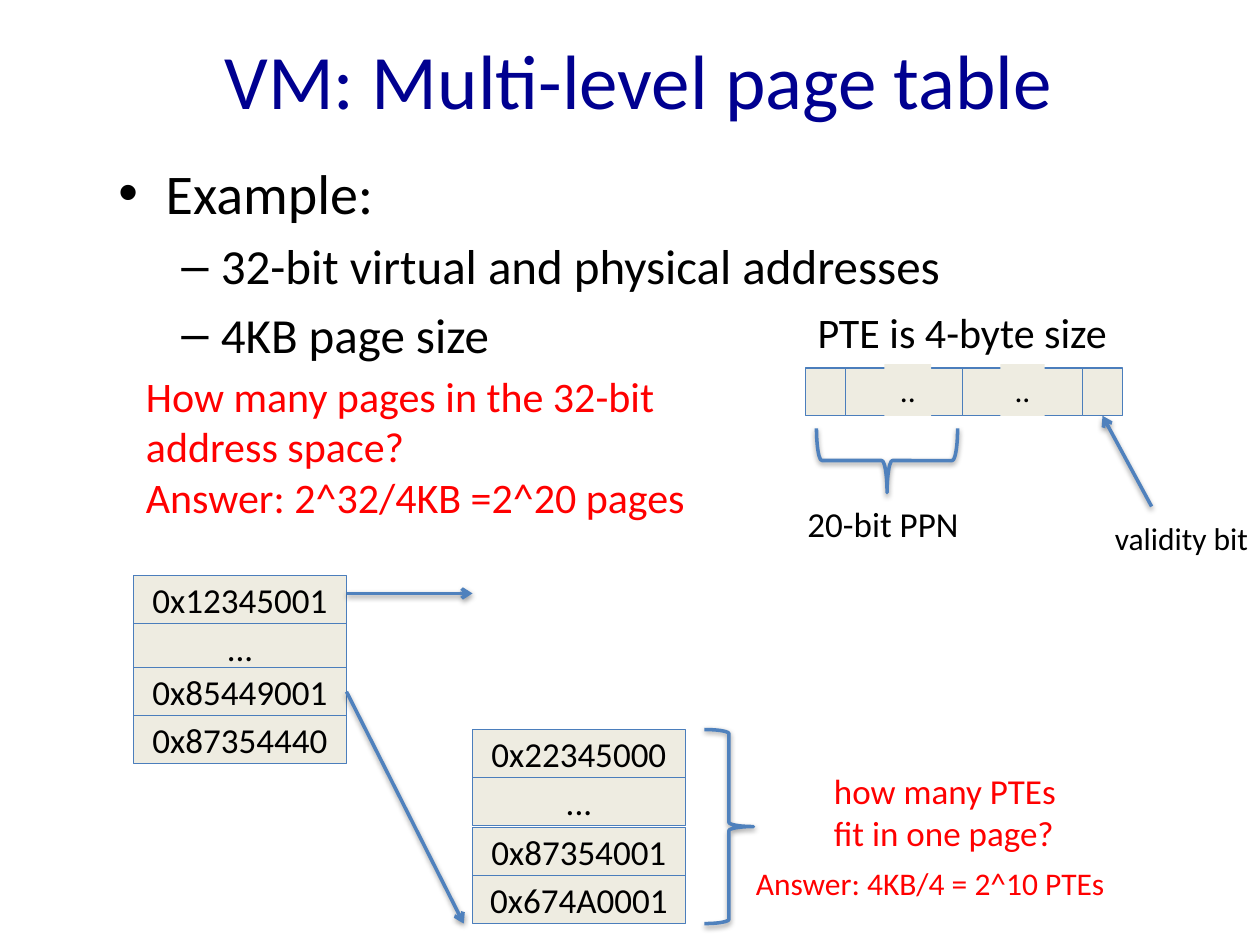
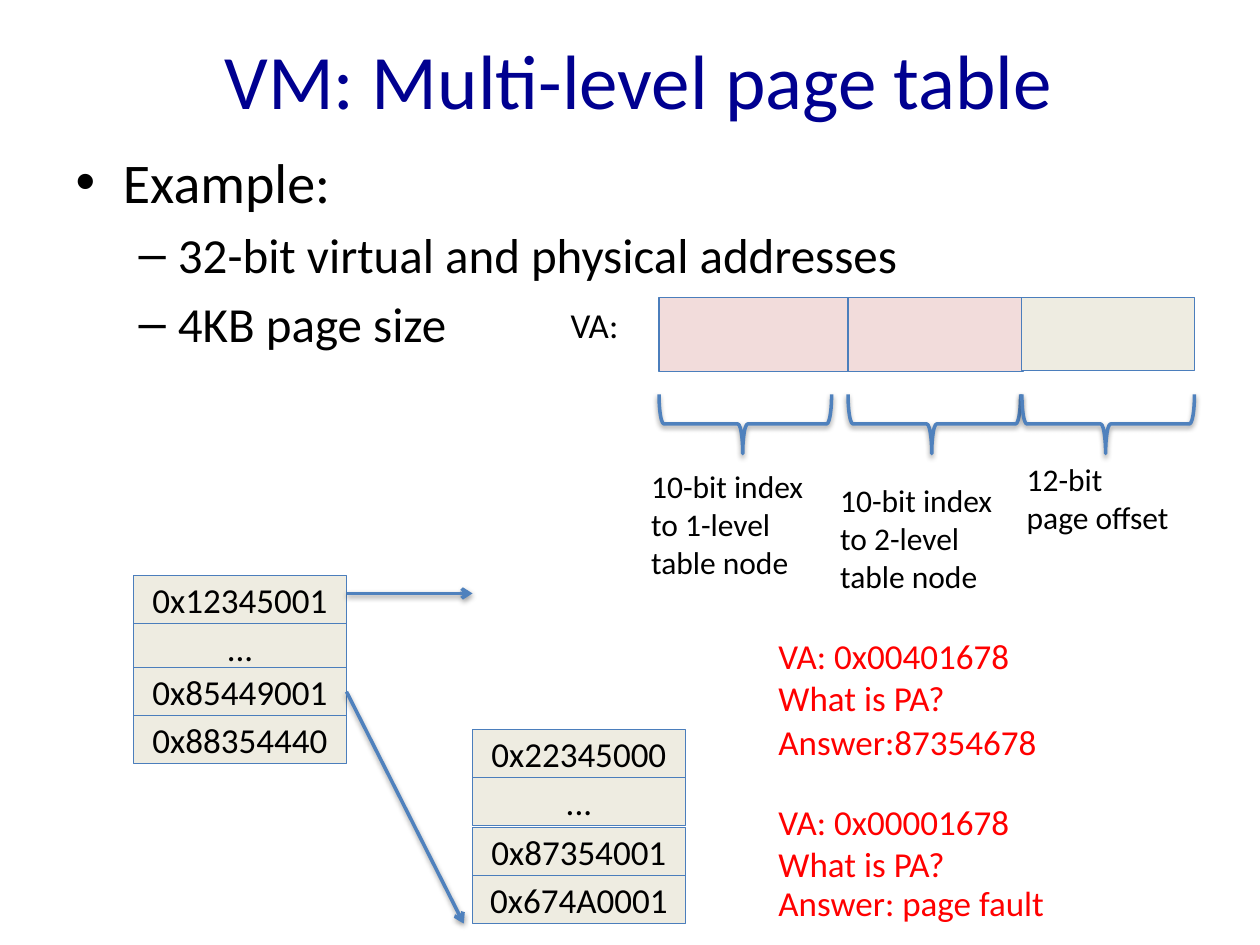
import lxml.etree
import pptx
import pptx.dml.color
import pptx.enum.shapes
import pptx.enum.text
import pptx.oxml.ns
import pptx.util
from dataclasses import dataclass

SHAPES = pptx.enum.shapes.MSO_SHAPE
CENTER = pptx.enum.text.PP_ALIGN.CENTER


@dataclass(frozen=True)
class Theme:
    font: str = "Calibri"
    title_color: str = "000090"
    text_color: str = "000000"
    question_color: str = "FF0000"
    cell_fill: str = "EEECE1"
    index_fill: str = "F2DCDB"
    cell_line: str = "4B7EBC"
    stroke: str = "4F81BD"
    shadow: str = "000000"
    title_size: int = 44
    body_sizes: tuple = (32, 28)
    question_size: int = 24
    label_size: int = 20
    note_size: int = 18
    cell_line_width: float = 0.75
    stroke_width: float = 2


THEME = Theme()

# All lengths are units of a grid of 100 columns by 75 square rows.
COLUMNS, ROWS = 100, 75
UNIT = pptx.util.Inches(10) / COLUMNS

TITLE = " VM: Multi-level page table"
BODY = [(0, "Example:"),
        (1, "32-bit virtual and physical addresses"),
        (1, "4KB page size")]
TITLE_BOX = (5, 0, 90, 12.5)
BODY_SIZE = (96.6, 24.3)

ROW_HEIGHT, NODE_WIDTH = 3.8, 16.9
ROOT_NODE = {"left": 10.6, "top": 45.7, "middle_gap": -0.3}
CHILD_NODE = {"left": 37.5, "top": 57.9, "middle_gap": 0.2}
CHILD_ENTRIES = ["0x22345000", "...", "0x87354001", "0x674A0001"]

# Labels: left, top, width, size, colour, lines
PTE_LABELS = [
    (10.6, 28.9, 42.9, THEME.question_size, THEME.question_color,
     ["How many pages in the 32-bit", "address space?"]),
    (10.6, 36.9, 45.3, THEME.question_size, THEME.question_color,
     ["Answer: 2^32/4KB =2^20 pages"]),
    (63.1, 39.4, 14.1, THEME.label_size, THEME.text_color, ["20-bit PPN"]),
    (87.5, 40.7, 12.7, THEME.note_size, THEME.text_color, ["validity bit"]),
    (63.9, 23.8, 25.3, THEME.question_size, THEME.text_color, ["PTE is 4-byte size"]),
    (59, 68.1, 30.1, THEME.note_size, THEME.question_color,
     ["Answer: 4KB/4 = 2^10 PTEs"]),
    (65.2, 60.6, 19.9, THEME.label_size, THEME.question_color,
     ["how many PTEs", "fit in one page?"]),
]
ADDRESS_LABELS = [
    (44.3, 23.6, 6, THEME.label_size, THEME.text_color, ["VA:"]),
    (50.7, 36.6, 14.3, THEME.note_size, THEME.text_color,
     ["10-bit index", "to 1-level", "table node"]),
    (65.7, 37.7, 14.3, THEME.note_size, THEME.text_color,
     ["10-bit index", "to 2-level", "table node"]),
    (80.5, 36, 13.5, THEME.note_size, THEME.text_color, ["12-bit", "page offset"]),
    (60.8, 49.9, 20.7, THEME.label_size, THEME.question_color,
     ["VA: 0x00401678", "What is PA?"]),
    (60.8, 56.7, 22.7, THEME.label_size, THEME.question_color, ["Answer:87354678"]),
    (60.8, 63, 20.7, THEME.label_size, THEME.question_color,
     ["VA: 0x00001678", "What is PA?"]),
    (60.8, 69.5, 23.4, THEME.label_size, THEME.question_color, ["Answer: page fault"]),
]

PTE_BIT_LEFTS = [63.9, 67.1, 73.4, 76.4, 82.7, 85.9]
PTE_TOP, PTE_BIT_WIDTH = 29.2, 3.2
PTE_ELLIPSES = [(70.2, 28.9, 3.7, 4.1), (79.4, 28.9, 3.5, 4.1)]

# Virtual address fields: left, width, height, fill
ADDRESS_FIELDS = [(52.3, 15, 5.9, THEME.index_fill),
                  (67.3, 13.9, 5.9, THEME.index_fill),
                  (81.1, 13.7, 5.8, THEME.cell_fill)]
ADDRESS_TOP = 23.6
FIELD_BRACE = {"top": 31.3, "width": 13.7, "height": 4.7}


def grid(*lengths):
    """Turn grid units into slide lengths."""
    return [pptx.util.Emu(round(length * UNIT)) for length in lengths]


def rgb(color):
    return pptx.dml.color.RGBColor.from_string(color)


def write_text(frame, lines, size, color=THEME.text_color, alignment=None):
    frame.text = "\n".join(lines)
    for paragraph in frame.paragraphs:
        if alignment is not None:
            paragraph.alignment = alignment
        for run in paragraph.runs:
            run.font.name = THEME.font
            run.font.size = pptx.util.Pt(size)
            run.font.color.rgb = rgb(color)


def move(shape, box):
    shape.left, shape.top, shape.width, shape.height = grid(*box)


def add_label(slide, left, top, width, size, color, lines):
    height = len(lines) * size / 6 + 1  # line spacing 1.2, plus the insets
    frame = slide.shapes.add_textbox(*grid(left, top, width, height)).text_frame
    frame.word_wrap = False
    frame.auto_size = pptx.enum.text.MSO_AUTO_SIZE.SHAPE_TO_FIT_TEXT
    write_text(frame, lines, size, color)


def add_cell(slide, box, text="", size=THEME.label_size, fill=THEME.cell_fill,
             outlined=True):
    cell = slide.shapes.add_shape(SHAPES.RECTANGLE, *grid(*box))
    cell.shadow.inherit = False
    cell.fill.solid()
    cell.fill.fore_color.rgb = rgb(fill)
    if outlined:
        cell.line.color.rgb = rgb(THEME.cell_line)
        cell.line.width = pptx.util.Pt(THEME.cell_line_width)
    else:
        cell.line.fill.background()
    if text:
        cell.text_frame.vertical_anchor = pptx.enum.text.MSO_ANCHOR.MIDDLE
        write_text(cell.text_frame, [text], size, alignment=CENTER)
    return cell


def add_element(parent, tag, **attributes):
    return lxml.etree.SubElement(parent, pptx.oxml.ns.qn(tag), attributes)


def style_stroke(shape, arrow=False):
    """Give a brace or connector its line, arrowhead and soft shadow."""
    shape.line.color.rgb = rgb(THEME.stroke)
    shape.line.width = pptx.util.Pt(THEME.stroke_width)
    properties = shape._element.spPr
    if arrow:
        add_element(properties.find(pptx.oxml.ns.qn("a:ln")), "a:tailEnd", type="arrow")
    effects = add_element(properties, "a:effectLst")
    shadow = add_element(effects, "a:outerShdw", blurRad="40000", dist="20000",
                         dir="5400000", rotWithShape="0")
    color = add_element(shadow, "a:srgbClr", val=THEME.shadow)
    add_element(color, "a:alpha", val="38000")


def add_arrow(slide, start, end):
    arrow = slide.shapes.add_connector(pptx.enum.shapes.MSO_CONNECTOR.STRAIGHT,
                                       *grid(*start, *end))
    style_stroke(arrow, arrow=True)
    return arrow


def add_brace(slide, left, top, width, height, downward=True, tip=0.5):
    """Draw a brace in the box it covers, pointing down or to the right."""
    box = (left, top, width, height)
    if downward:
        shift = (width - height) / 2
        box = (left + shift, top - shift, height, width)
    brace = slide.shapes.add_shape(SHAPES.RIGHT_BRACE, *grid(*box))
    brace.rotation = 90 if downward else 0
    brace.adjustments[1] = tip
    brace.fill.background()
    style_stroke(brace)


def add_node(slide, entries, left, top, middle_gap):
    """Stack page table entries, with a gap between the two halves."""
    return [add_cell(slide, (left, top + index * ROW_HEIGHT + (index // 2) * middle_gap,
                             NODE_WIDTH, ROW_HEIGHT), entry)
            for index, entry in enumerate(entries)]


def add_page_table(slide, last_root_entry):
    root_entries = ["0x12345001", "...", "0x85449001", last_root_entry]
    root_cells = add_node(slide, root_entries, **ROOT_NODE)
    add_node(slide, CHILD_ENTRIES, **CHILD_NODE)
    root_right = ROOT_NODE["left"] + NODE_WIDTH
    add_arrow(slide, (root_right, 47.1), (CHILD_NODE["left"], 47.1))
    add_arrow(slide, (root_right, 54.9), (36.8, 73.3)).begin_connect(root_cells[2], 3)


def add_example_slide(presentation, body_left, body_top, labels):
    slide = presentation.slides.add_slide(presentation.slide_layouts[1])
    title, body = slide.placeholders
    move(title, TITLE_BOX)
    write_text(title.text_frame, [TITLE], THEME.title_size, THEME.title_color, CENTER)
    move(body, (body_left, body_top, *BODY_SIZE))
    write_text(body.text_frame, [text for _, text in BODY], THEME.body_sizes[0])
    for paragraph, (level, _) in zip(body.text_frame.paragraphs, BODY):
        paragraph.level = level
        paragraph.runs[0].font.size = pptx.util.Pt(THEME.body_sizes[level])
    for label in labels:
        add_label(slide, *label)
    return slide


def add_entry_slide(presentation):
    slide = add_example_slide(presentation, 8.4, 12.1, PTE_LABELS)
    bits = [add_cell(slide, (left, PTE_TOP, PTE_BIT_WIDTH, ROW_HEIGHT))
            for left in PTE_BIT_LEFTS]
    for box in PTE_ELLIPSES:
        add_cell(slide, box, "..", THEME.note_size, outlined=False)
    add_brace(slide, 64.8, 34, 11.2, 5.1)
    add_arrow(slide, (91.4, 40.2), (87.5, 33)).end_connect(bits[-1], 2)
    add_brace(slide, 55.9, CHILD_NODE["top"], 3.9, 15.4, downward=False)
    add_page_table(slide, "0x87354440")


def add_address_slide(presentation):
    slide = add_example_slide(presentation, 5, 11.2, ADDRESS_LABELS)
    for left, width, height, fill in ADDRESS_FIELDS:
        add_cell(slide, (left, ADDRESS_TOP, width, height), fill=fill)
        add_brace(slide, left, **FIELD_BRACE, tip=0.515)
    add_page_table(slide, "0x88354440")


def main():
    presentation = pptx.Presentation()
    presentation.slide_width, presentation.slide_height = grid(COLUMNS, ROWS)
    add_entry_slide(presentation)
    add_address_slide(presentation)
    presentation.save("out.pptx")


if __name__ == "__main__":
    main()
